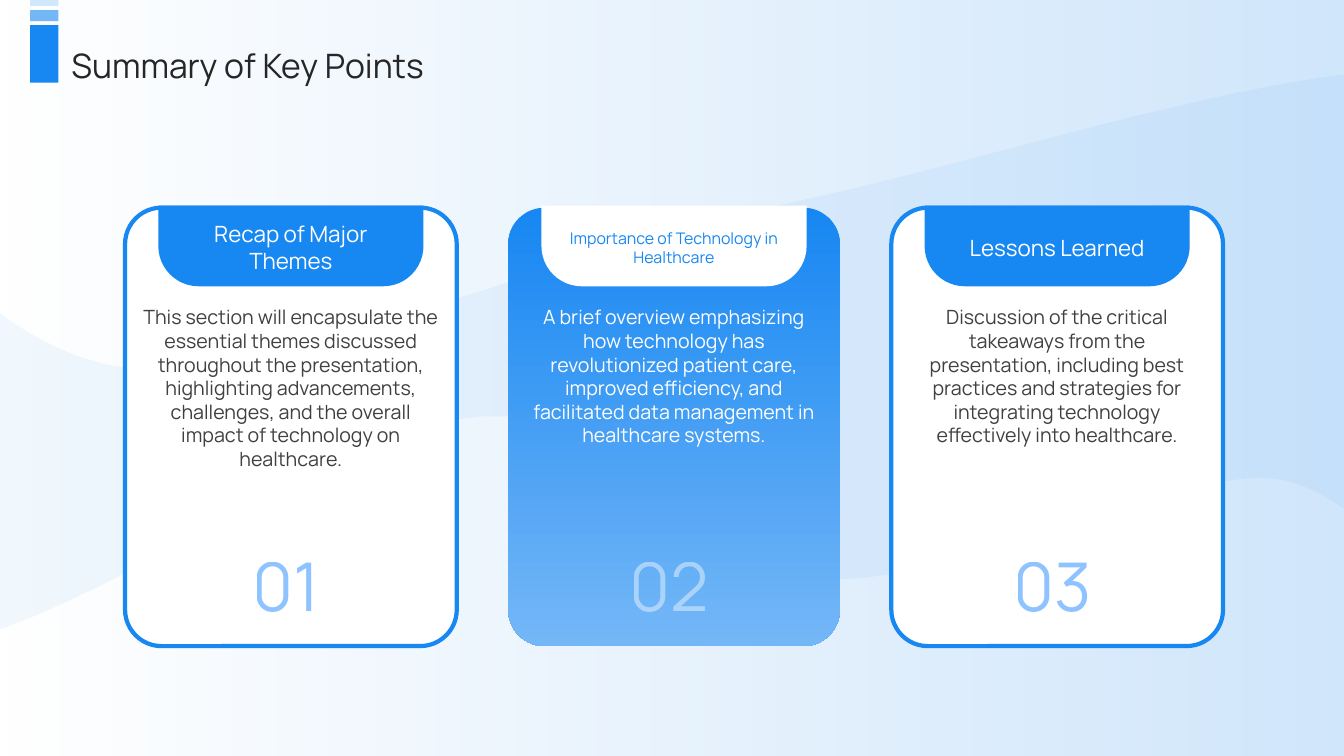
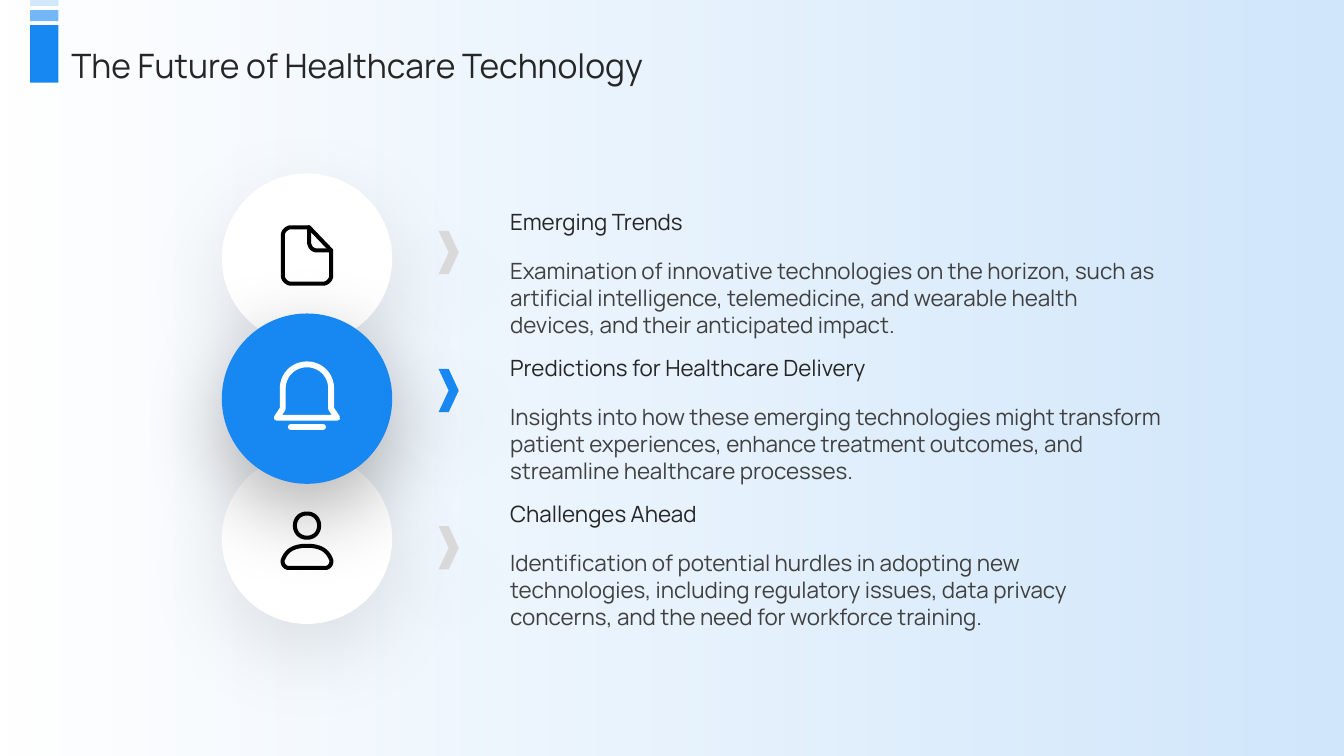
from lxml import etree
from pptx import Presentation
from pptx.dml.color import RGBColor
from pptx.enum.shapes import MSO_SHAPE
from pptx.enum.text import MSO_ANCHOR, MSO_AUTO_SIZE, PP_ALIGN
from pptx.oxml.ns import qn
from pptx.util import Inches, Pt

RECT, OVAL, ROUND = MSO_SHAPE.RECTANGLE, MSO_SHAPE.OVAL, MSO_SHAPE.ROUNDED_RECTANGLE
TAB, CHEVRON = MSO_SHAPE.ROUND_2_SAME_RECTANGLE, MSO_SHAPE.CHEVRON
PANEL = MSO_SHAPE.FLOWCHART_PROCESS
TOP, MIDDLE = MSO_ANCHOR.TOP, MSO_ANCHOR.MIDDLE
LEFT, CENTER = PP_ALIGN.LEFT, PP_ALIGN.CENTER
GROW, FIXED = MSO_AUTO_SIZE.SHAPE_TO_FIT_TEXT, MSO_AUTO_SIZE.NONE

FONT = "Manrope"
WIDE, HIGH = 13.33, 7.5
HUES = {
    "blue": "1787F2", "sky": "74B7F7", "pale": "D1E7FC", "digit": "0077FF",
    "white": "FFFFFF", "black": "000000", "grey": "D9D9D9",
    "ink": "262626", "body": "404040",
}

WAVE = [[
    (13.33, 0.74), (13.33, 5.05), (13.26, 5),
    (13.04, 4.85, 12.8, 4.75, 12.52, 4.74),
    (11.42, 4.74, 9.38, 5.85, 8.09, 5.74),
    (6.8, 5.64, 6.27, 4.03, 4.78, 4.13),
    (3.62, 4.21, 1.47, 5.71, 0.09, 6.21),
    (0, 6.24), (0, 3.11), (0.04, 3.14),
    (0.46, 3.43, 0.96, 3.68, 1.54, 3.66),
    (3.09, 3.6, 5.66, 2.47, 7.89, 2),
    (9.43, 1.68, 11.65, 0.96, 13.25, 0.75), (13.33, 0.74),
]]
PAGE = [
    [(0.02, -0.31), (0.24, -0.08), (0.24, 0.17),
     (0.24, 0.21, 0.2, 0.25, 0.16, 0.25), (-0.16, 0.25),
     (-0.2, 0.25, -0.24, 0.21, -0.24, 0.17), (-0.24, -0.23),
     (-0.24, -0.27, -0.2, -0.31, -0.16, -0.31), (0.02, -0.31)],
    [(0.02, -0.31), (0.02, -0.17),
     (0.02, -0.12, 0.05, -0.08, 0.1, -0.08), (0.24, -0.08)],
]
BELL = [
    [(-0.24, -0.1), (-0.24, -0.24, -0.13, -0.34, 0, -0.34),
     (0.13, -0.34, 0.24, -0.24, 0.24, -0.1), (0.24, 0.1),
     (0.3, 0.19), (-0.3, 0.19), (-0.24, 0.1), (-0.24, -0.1)],
    [(-0.16, 0.28), (0.16, 0.28)],
]
USER = [
    [(0, -0.25), (0.07, -0.25, 0.12, -0.2, 0.12, -0.13),
     (0.12, -0.06, 0.07, -0.01, 0, -0.01),
     (-0.07, -0.01, -0.12, -0.06, -0.12, -0.13),
     (-0.12, -0.2, -0.07, -0.25, 0, -0.25)],
    [(0, 0.07), (0.15, 0.07, 0.21, 0.13, 0.24, 0.21),
     (0.25, 0.25, 0.22, 0.29, 0.18, 0.29), (-0.18, 0.29),
     (-0.22, 0.29, -0.25, 0.25, -0.24, 0.21),
     (-0.21, 0.13, -0.15, 0.07, 0, 0.07)],
]

CARDS = [
    ("Recap of Major Themes", 16,
     "This section will encapsulate the essential themes discussed throughout the presentation, highlighting advancements, challenges, and the overall impact of technology on healthcare."),
    ("Importance of Technology in Healthcare", 11.4,
     "A brief overview emphasizing how technology has revolutionized patient care, improved efficiency, and facilitated data management in healthcare systems."),
    ("Lessons Learned", 16,
     "Discussion of the critical takeaways from the presentation, including best practices and strategies for integrating technology effectively into healthcare."),
]
NOTES = [
    ("Emerging Trends",
     "Examination of innovative technologies on the horizon, such as artificial intelligence, telemedicine, and wearable health devices, and their anticipated impact."),
    ("Predictions for Healthcare Delivery",
     "Insights into how these emerging technologies might transform patient experiences, enhance treatment outcomes, and streamline healthcare processes."),
    ("Challenges Ahead",
     "Identification of potential hurdles in adopting new technologies, including regulatory issues, data privacy concerns, and the need for workforce training."),
]


def hue(name):
    return RGBColor.from_string(HUES[name])


def fade(node, share):
    tone = list(node.iter(qn("a:srgbClr")))[-1]
    etree.SubElement(tone, qn("a:alpha"), val=str(share * 1000))


def paint(shape, fill=None, line=None, width=1):
    shape.shadow.inherit = False
    if fill:
        shape.fill.solid()
        shape.fill.fore_color.rgb = hue(fill)
    else:
        shape.fill.background()
    if line:
        shape.line.color.rgb = hue(line)
        shape.line.width = Pt(width)
    else:
        shape.line.fill.background()


def block(slide, kind, x, y, w, h, fill, line=None, width=1):
    shape = slide.shapes.add_shape(kind, Inches(x), Inches(y), Inches(w), Inches(h))
    paint(shape, fill, line, width)
    return shape


def blend(shape, first, last, angle):
    shape.fill.gradient()
    shape.fill.gradient_angle = angle
    for stop, name in zip(shape.fill.gradient_stops, (first, last)):
        stop.color.rgb = hue(name)


def glow(shape, share):
    effects = shape._element.spPr.find(qn("a:effectLst"))
    shade = etree.SubElement(
        effects, qn("a:outerShdw"), blurRad=str(Pt(60)), dist=str(Pt(20)),
        dir="5400000", algn="t", rotWithShape="0")
    etree.SubElement(shade, qn("a:srgbClr"), val=HUES["black"])
    fade(shade, share)


def trace(stroke, steps=16):
    points = [stroke[0]]
    for part in stroke[1:]:
        if len(part) == 2:
            points.append(part)
            continue
        ends = [points[-1], part[:2], part[2:4], part[4:]]
        for step in range(1, steps + 1):
            t = step / steps
            mix = ((1 - t) ** 3, 3 * t * (1 - t) ** 2, 3 * t * t * (1 - t), t ** 3)
            points.append(tuple(
                sum(m * end[axis] for m, end in zip(mix, ends)) for axis in (0, 1)))
    return [(Inches(x), Inches(y)) for x, y in points]


def draw(slide, strokes, x=0, y=0):
    paths = [trace(stroke) for stroke in strokes]
    pen = slide.shapes.build_freeform(*paths[0][0], scale=1.0)
    for index, points in enumerate(paths):
        if index:
            pen.move_to(*points[0])
        pen.add_line_segments(points[1:], close=False)
    return pen.convert_to_shape(Inches(x), Inches(y))


def write(slide, text, x, y, w, h, size, color, align=LEFT, anchor=TOP,
          pad=True, wrap=True, fit=FIXED):
    box = slide.shapes.add_textbox(Inches(x), Inches(y), Inches(w), Inches(h))
    frame = box.text_frame
    frame.word_wrap = wrap
    frame.auto_size = fit
    frame.vertical_anchor = anchor
    if pad:
        frame.margin_left = frame.margin_right = 0
        frame.margin_top = frame.margin_bottom = 0
    frame.text = text
    line = frame.paragraphs[0]
    line.alignment = align
    font = line.runs[0].font
    font.name, font.size = FONT, Pt(size)
    font.color.rgb = hue(color)
    return box


def base(deck):
    slide = deck.slides.add_slide(deck.slide_layouts[6])
    panel = block(slide, PANEL, 0, 0, WIDE, HIGH, "pale")
    blend(panel, "pale", "pale", 180)
    fade(panel._element.spPr, 0)
    return slide


def head(slide, title):
    write(slide, title, 0.61, 0.4, 12.56, 0.46, 24, "ink", pad=False, fit=GROW)
    for y, h, fill in ((0.25, 0.57, "blue"), (0.1, 0.11, "sky"), (0, 0.06, "pale")):
        block(slide, RECT, 0.3, y, 0.28, h, fill)


def card(slide, x, y, number, title, size, text, strong):
    w, h = 3.29, 4.35
    edge = None if strong else "blue"
    panel = block(slide, ROUND, x, y, w, h, "white", edge, 3)
    panel.adjustments[0] = 0.11
    if strong:
        blend(panel, "blue", "sky", 270)
    tab = block(slide, TAB, x + 0.33, y - 0.02, w - 0.66, 0.8,
                "white" if strong else "blue")
    tab.adjustments[0] = 0.5
    tab.rotation = 180
    write(slide, title, x + 0.48, y + 0.04, w - 0.96, 0.71, size,
          "blue" if strong else "white", CENTER, MIDDLE)
    write(slide, text, x + 0.16, y + 0.97, w - 0.32, 2.37, 14,
          "white" if strong else "body", CENTER)
    digits = write(slide, f"{number:02}", x + 1.19, y + 3.34, 0.82, 0.74, 48,
                   "white" if strong else "digit", CENTER, wrap=False, fit=GROW)
    fade(digits._element.txBody, 44)


def orb(slide, x, y, icon, strong):
    size = 1.69
    disc = block(slide, OVAL, x, y, size, size, "blue" if strong else "white")
    glow(disc, 30 if strong else 10)
    glyph = draw(slide, icon, x + size / 2, y + size / 2)
    paint(glyph, None, "white" if strong else "black", 4.2 if strong else 2.9)
    glyph._element.spPr.find(qn("a:ln")).set("cap", "rnd")


def note(slide, x, y, title, text, drop, strong):
    mark = block(slide, CHEVRON, x, y + drop, 0.2, 0.43, "blue" if strong else "grey")
    glow(mark, 20 if strong else 10)
    write(slide, title, x + 0.71, y, 6.22, 0.22, 16, "ink", fit=GROW)
    write(slide, text, x + 0.71, y + 0.49, 6.46, 0.92, 16, "body")


def recap(deck):
    slide = base(deck)
    wave = draw(slide, WAVE)
    paint(wave, "blue")
    fade(wave._element.spPr, 6)
    for index, (title, size, text) in enumerate(CARDS):
        card(slide, 1.24 + 3.8 * index, 2.06, index + 1, title, size, text, index == 1)
    head(slide, "Summary of Key Points")


def future(deck):
    slide = base(deck)
    for index, icon in ((2, USER), (0, PAGE), (1, BELL)):
        orb(slide, 2.2, 1.72 + 1.39 * index, icon, index == 1)
    for index, drop in enumerate((0.23, 0.15, 0.26)):
        note(slide, 4.35, 2.06 + 1.45 * index, *NOTES[index], drop, index == 1)
    head(slide, "The Future of Healthcare Technology")


def main():
    deck = Presentation()
    deck.slide_width, deck.slide_height = Inches(WIDE), Inches(HIGH)
    recap(deck)
    future(deck)
    deck.save("out.pptx")


if __name__ == "__main__":
    main()
